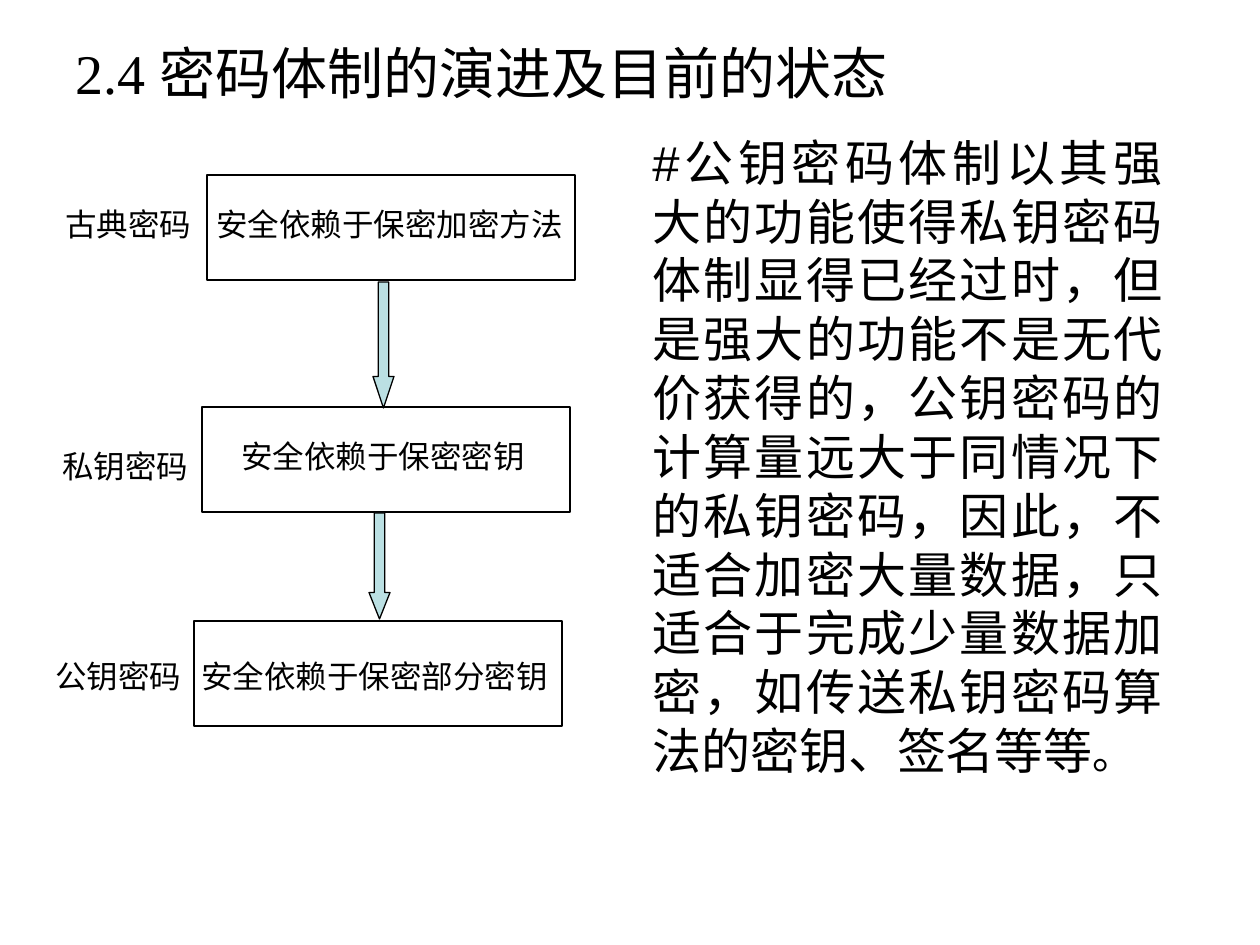
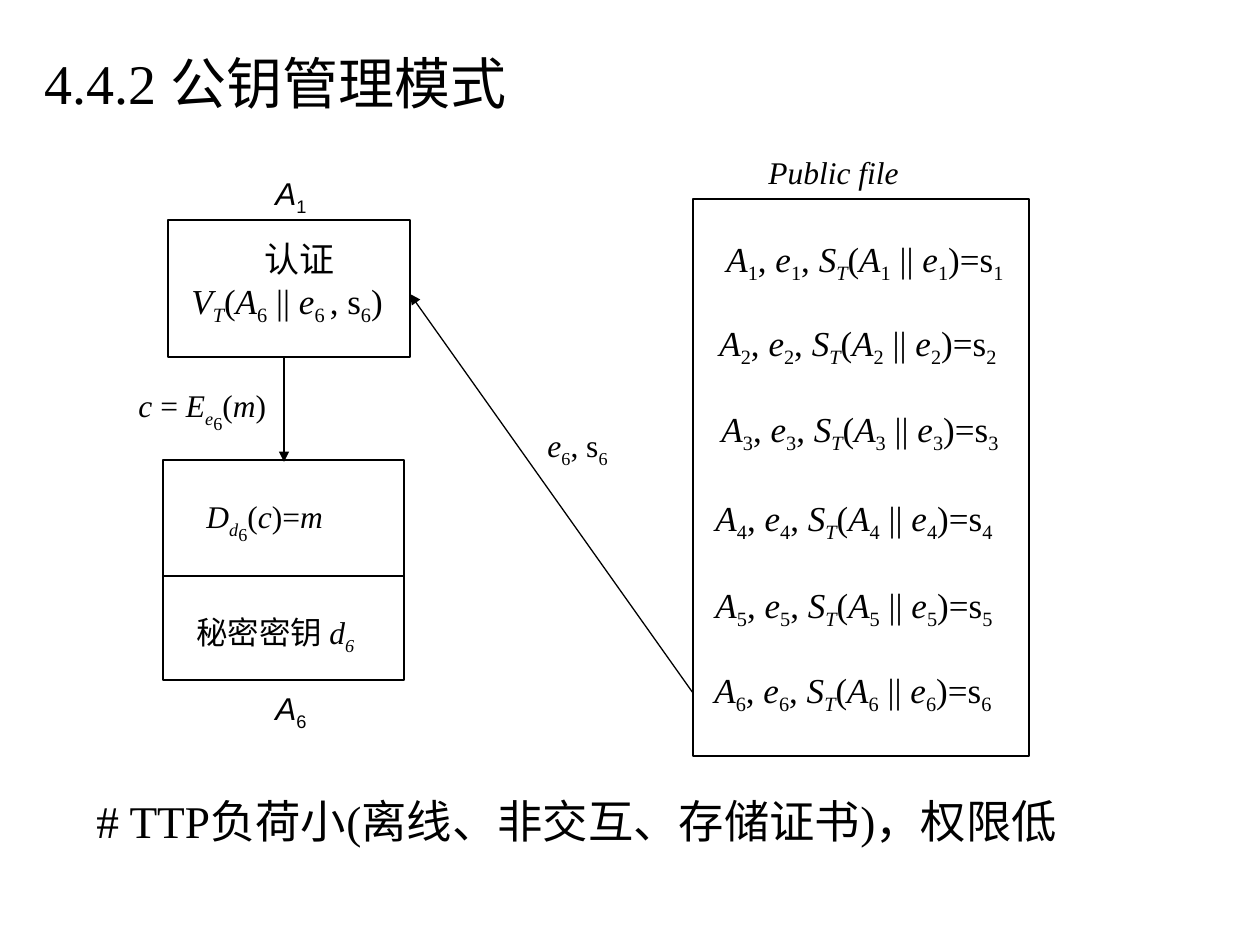
from lxml.etree import SubElement
from pptx import Presentation
from pptx.dml.color import RGBColor
from pptx.enum.shapes import MSO_CONNECTOR, MSO_SHAPE
from pptx.enum.text import MSO_ANCHOR, MSO_AUTO_SIZE, PP_ALIGN
from pptx.oxml.ns import qn
from pptx.util import Pt

# Shared style
PX = 914400 / 126
BLACK = RGBColor(0x00, 0x00, 0x00)
PALE_TEAL = RGBColor(0xBB, 0xE0, 0xE3)
SANS, SERIF = "Arial", "Times New Roman"
LINE_WIDTH = Pt(0.75)
BASELINES = {"_": "-25000", "~": "-40000"}  # subscript, subscript of a subscript

# Slide 1 content: places are left, top in px
EVOLUTION_TITLE = [("2.4 ", SERIF), ("密码体制的演进及目前的状态", SANS)]
STAGE_SIZE = (368, 105)
STAGES = [  # name, its place, box place, rule, its place, rule width
    ("古典密码", (53, 199), (207, 175), "安全依赖于保密加密方法", (204, 199), 372),
    ("私钥密码", (50, 441), (202, 407), "安全依赖于保密密钥", (229, 431), 309),
    ("公钥密码", (43, 651), (194, 621), "安全依赖于保密部分密钥", (189, 651), 372),
]
STAGE_ARROWS = [(373, 282, 21, 126, 1.5), (369, 513, 21, 106, 1.26)]
REMARK = ("#公钥密码体制以其强大的功能使得私钥密码体制显得已经过时，但是强大的功能不是"
          "无代价获得的，公钥密码的计算量远大于同情况下的私钥密码，因此，不适合加密大量"
          "数据，只适合于完成少量数据加密，如传送私钥密码算法的密钥、签名等等")

# Slide 2 content: formulas are (text, marks), i = italic
MANAGEMENT_TITLE = [("4.4.2 ", SERIF), ("公钥管理模式", SANS)]
FOOTNOTE = "# TTP负荷小(离线、非交互、存储证书)，权限低"
CERTIFICATE_PLACES = [(714, 231), (707, 315), (709, 401),
                      (703, 490), (703, 577), (702, 662)]
VERIFY = [("V", "i"), ("T", "i_"), ("(", ""), ("A", "i"), ("6", "_"), (" || ", ""),
          ("e", "i"), ("6 ", "_"), (", s", ""), ("6", "_"), (")", "")]
FORMULAS = [  # place and width, size, font, spans
    ((263, 168, 57), 18, SANS, [("A", "i"), ("1", "_")]),
    ((263, 683, 57), 18, SANS, [("A", "i"), ("6", "_")]),
    ((535, 420, 147), 18, SERIF, [("e", "i"), ("6", "_"), (", s", ""), ("6", "_")]),
    ((194, 491, 210), 18, SERIF, [("D", "i"), ("d", "i_"), ("6", "~"), ("(", ""),
                                  ("c", "i"), (")=", ""), ("m", "i")]),
    ((126, 380, 210), 18, SERIF, [("c ", "i"), ("=", ""), (" E", "i"), ("e", "i_"),
                                  ("6", "~"), ("(", ""), ("m", "i"), (")", "")]),
    ((184, 607, 210), 18, SERIF, [("秘密密钥 ", ""), ("d", "i"), ("6", "i_")]),
    ((756, 147, 283), 18, SERIF, [("Public file", "i")]),
]
FRAMES = [(693, 199, 336, 557), (168, 220, 242, 137), (163, 460, 241, 220)]
LINKS = [  # start, end, arrowhead
    ((693, 693), (410, 294), True),
    ((163, 576), (404, 576), False),
    ((284, 357), (284, 462), True),
]


def emu(*lengths):
    return [round(length * PX) for length in lengths]


def certificate(number):
    """Spans of one line of the public file."""
    index = (str(number), "_")
    return [("A", "i"), index, (", ", ""), ("e", "i"), index, (", ", ""),
            ("S", "i"), ("T", "i_"), ("(", ""), ("A", "i"), index, (" || ", ""),
            ("e", "i"), index, (")=s", ""), index]


def add_span(para, text, size, font, marks=""):
    span = para.add_run()
    span.text = text
    span.font.size = Pt(size)
    span.font.name = font
    span.font.color.rgb = BLACK
    span.font.italic = "i" in marks
    for mark, baseline in BASELINES.items():
        if mark in marks:
            span._r.get_or_add_rPr().set("baseline", baseline)


def add_text(page, place, spans, size, font, wrap=True, align=PP_ALIGN.LEFT):
    box = page.shapes.add_textbox(*emu(*place))
    box.text_frame.word_wrap = wrap
    para = box.text_frame.paragraphs[0]
    para.alignment = align
    for text, marks in spans:
        add_span(para, text, size, font, marks)
    return box.text_frame


def add_page(deck, title_spans, place):
    page = deck.slides.add_slide(deck.slide_layouts[5])
    title = page.shapes.title
    title.left, title.top, title.width, title.height = emu(*place)
    frame = title.text_frame
    frame.auto_size = MSO_AUTO_SIZE.NONE
    frame.vertical_anchor = MSO_ANCHOR.TOP
    para = frame.paragraphs[0]
    para.alignment = PP_ALIGN.LEFT
    for text, font in title_spans:
        add_span(para, text, 32, font)
    return page


def add_outline(page, kind, place, fill=None):
    shape = page.shapes.add_shape(kind, *emu(*place))
    shape.shadow.inherit = False
    shape.line.color.rgb = BLACK
    shape.line.width = LINE_WIDTH
    if fill is None:
        shape.fill.background()
    else:
        shape.fill.solid()
        shape.fill.fore_color.rgb = fill
    return shape


def add_link(page, start, end, arrowhead):
    link = page.shapes.add_connector(MSO_CONNECTOR.STRAIGHT, *emu(*start, *end))
    link.line.color.rgb = BLACK
    link.line.width = LINE_WIDTH
    if arrowhead:
        SubElement(link.line._get_or_add_ln(), qn("a:tailEnd"), type="triangle")
    SubElement(link._element.spPr, qn("a:effectLst"))


def build_evolution(deck):
    page = add_page(deck, EVOLUTION_TITLE, (63, 32, 861, 84))
    for name, name_place, box_place, rule, rule_place, rule_width in STAGES:
        add_outline(page, MSO_SHAPE.RECTANGLE, box_place + STAGE_SIZE)
        add_text(page, (*name_place, 151, 50), [(name, "")], 18, SANS, wrap=False)
        add_text(page, (*rule_place, rule_width, 50), [(rule, "")], 18, SANS, wrap=False)
    for *place, head_ratio in STAGE_ARROWS:
        arrow = add_outline(page, MSO_SHAPE.DOWN_ARROW, place, PALE_TEAL)
        arrow.adjustments[0] = 0.5
        arrow.adjustments[1] = head_ratio
    remark = add_text(page, (640, 126, 535, 660), [(REMARK, "")], 28, SANS,
                      align=PP_ALIGN.JUSTIFY)
    add_span(remark.paragraphs[0], "。", 24, SANS)


def build_management(deck):
    page = add_page(deck, MANAGEMENT_TITLE, (32, 42, 567, 94))
    for place in FRAMES:
        add_outline(page, MSO_SHAPE.RECTANGLE, place)
    for link in LINKS:
        add_link(page, *link)

    # Public file and the other formulas
    for number, place in enumerate(CERTIFICATE_PLACES, start=1):
        add_text(page, (*place, 357, 60), certificate(number), 20, SERIF)
    for place, size, font, spans in FORMULAS:
        add_text(page, (*place, 55), spans, size, font)

    # Verification, in two lines
    verification = add_text(page, (179, 231, 242, 103), [("认证", "")], 20, SERIF,
                            align=PP_ALIGN.CENTER)
    formula = verification.add_paragraph()
    for text, marks in VERIFY:
        add_span(formula, text, 20, SERIF, marks)

    footnote = add_text(page, (84, 798, 1113, 63), [(FOOTNOTE, "")], 25.9, SERIF)
    footnote.paragraphs[0].line_spacing = 0.8


def main():
    deck = Presentation()
    deck.slide_width, deck.slide_height = emu(1260, 945)
    build_evolution(deck)
    build_management(deck)
    deck.save("out.pptx")


if __name__ == "__main__":
    main()
